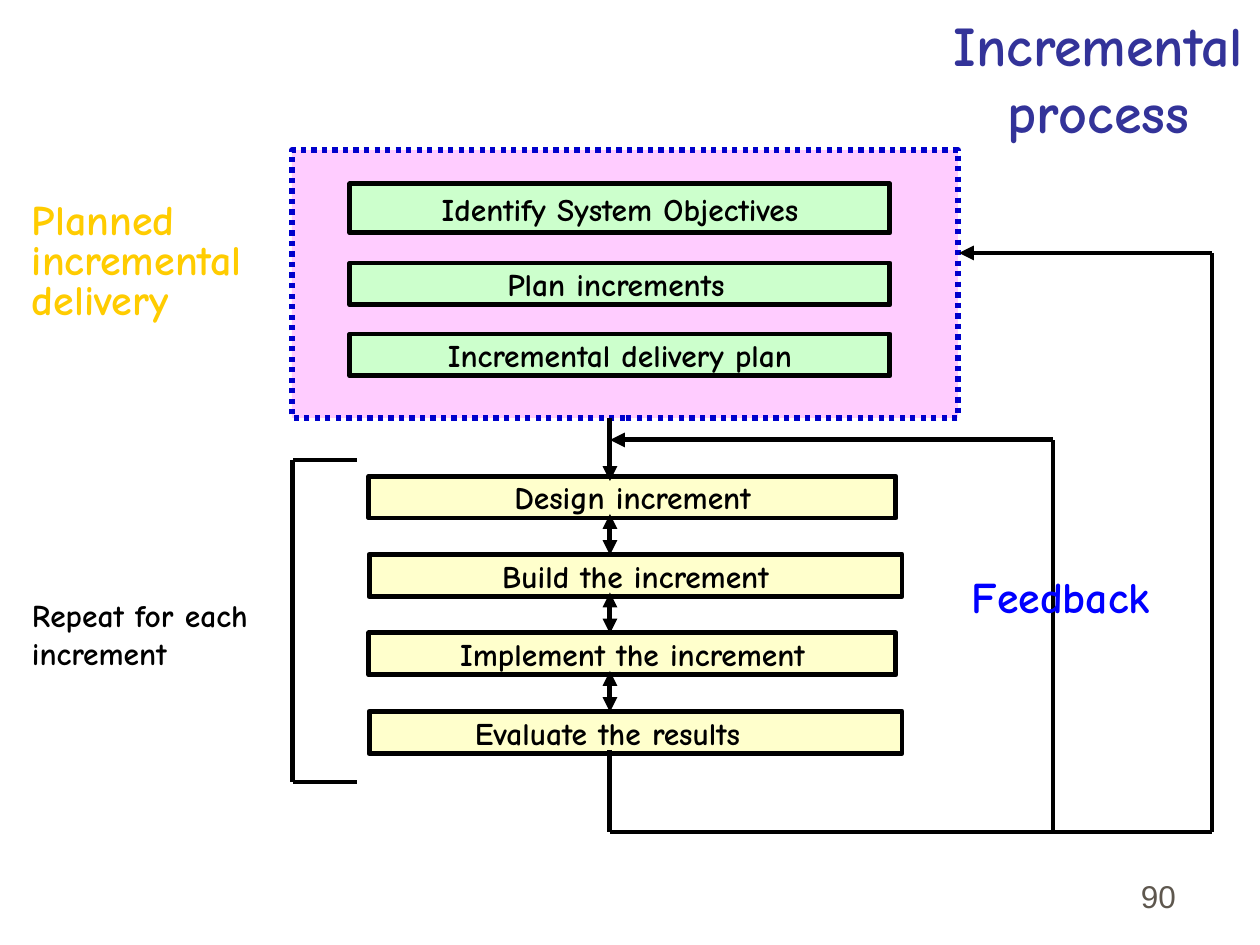
from itertools import pairwise
from pptx import Presentation
from pptx.dml.color import RGBColor
from pptx.enum.dml import MSO_LINE
from pptx.enum.shapes import MSO_CONNECTOR, MSO_SHAPE
from pptx.enum.text import MSO_ANCHOR, MSO_AUTO_SIZE, PP_ALIGN
from pptx.oxml.ns import qn
from pptx.util import Emu, Pt
from lxml.etree import SubElement

PX = 914400 / 126
COLORS = {
    "title": "333399", "panel": "FFCCFF", "border": "0000CC",
    "plan": "CCFFCC", "step": "FFFFCC", "ink": "000000",
    "feedback": "0000FF", "heading": "FFCC00", "number": "5E574E",
}
LINE_WIDTH = 2.83
AXIS = 610
PLAN_BOXES = [
    ("Identify System Objectives", 184, 49, 15),
    ("Plan increments", 263, 42, 23),
    ("Incremental delivery plan", 334, 42, 15),
]
STEPS = [
    ("Design increment", 527, 15),
    ("Build the increment", 533, 15),
    ("Implement the increment", 527, 15),
    ("Evaluate the results", 533, 71),
]
STEP_TOP, STEP_PITCH, STEP_HEIGHT = 476, 78.5, 42


def px(n):
    return Emu(round(n * PX))


def color(name):
    return RGBColor.from_string(COLORS[name])


def write(shape, lines, size, ink, margins, align=PP_ALIGN.LEFT,
          anchor=MSO_ANCHOR.TOP, font="Comic Neue", bold=True, spacing=None):
    tf = shape.text_frame
    left, top, right, bottom = map(px, margins)
    frame = {"word_wrap": True, "auto_size": MSO_AUTO_SIZE.NONE,
             "vertical_anchor": anchor, "margin_left": left, "margin_top": top,
             "margin_right": right, "margin_bottom": bottom}
    for key, value in frame.items():
        setattr(tf, key, value)
    tf.text = "\n".join(lines)
    for p in tf.paragraphs:
        p.alignment = align
        p.line_spacing = spacing
        for key, value in {"name": font, "size": Pt(size), "bold": bold}.items():
            setattr(p.runs[0].font, key, value)
        p.runs[0].font.color.rgb = color(ink)


def add_label(s, box, lines, size, ink, margins=(18, 11, 18, 11), **format):
    tb = s.shapes.add_textbox(*map(px, box))
    write(tb, lines, size, ink, margins, **format)


def add_rect(s, box, fill, border="ink", width=LINE_WIDTH):
    sp = s.shapes.add_shape(MSO_SHAPE.RECTANGLE, *map(px, box))
    sp.shadow.inherit = False
    sp.fill.solid()
    sp.fill.fore_color.rgb = color(fill)
    sp.line.color.rgb = color(border)
    sp.line.width = Pt(width)
    return sp


def add_box(s, box, fill, text, right):
    write(add_rect(s, box, fill), [text], 18, "ink", (15, 9, right, 9),
          align=PP_ALIGN.CENTER, anchor=MSO_ANCHOR.MIDDLE)


def add_line(s, start, end, *arrows):
    cx = s.shapes.add_connector(MSO_CONNECTOR.STRAIGHT, *map(px, start + end))
    cx.line.color.rgb = color("ink")
    cx.line.width = Pt(LINE_WIDTH)
    ln = cx.line._get_or_add_ln()
    for arrow in arrows:
        SubElement(ln, qn(f"a:{arrow}"), type="triangle")
    SubElement(cx._element.spPr, qn("a:effectLst"))


def add_route(s, points, arrow=False):
    pairs = list(pairwise(points))
    for i, (start, end) in enumerate(pairs):
        ends = ["tailEnd"] if arrow and i == len(pairs) - 1 else []
        add_line(s, start, end, *ends)


def add_title(s):
    title = s.shapes.title
    box = {"left": 903, "top": 4, "width": 391, "height": 99}
    for key, value in box.items():
        setattr(title, key, px(value))
    write(title, ["Incremental process"], 32, "title", (13, 6, 13, 6),
          align=PP_ALIGN.CENTER)


def add_planning(s):
    panel = add_rect(s, (292, 150, 666, 268), "panel", "border", 3)
    panel.line.dash_style = MSO_LINE.ROUND_DOT
    for text, top, height, right in PLAN_BOXES:
        add_box(s, (350, top, 540, height), "plan", text, right)


def add_steps(s):
    for i, (text, width, right) in enumerate(STEPS):
        top = STEP_TOP + i * STEP_PITCH
        add_box(s, (369, top, width, STEP_HEIGHT), "step", text, right)
    for i in range(len(STEPS) - 1):
        top = 514 + i * STEP_PITCH
        add_line(s, (AXIS, top), (AXIS, top + 41), "headEnd", "tailEnd")


def add_routes(s):
    add_route(s, [(AXIS, 418), (AXIS, 481)], arrow=True)
    add_route(s, [(357, 460), (293, 460), (293, 782), (357, 782)])
    add_route(s, [(AXIS, 750), (AXIS, 832), (1212, 832), (1212, 253), (959, 253)],
              arrow=True)
    add_route(s, [(1053, 832), (1053, 440), (AXIS, 440)], arrow=True)


def main():
    prs = Presentation()
    prs.slide_width, prs.slide_height = px(1260), px(945)
    s = prs.slides.add_slide(prs.slide_layouts[5])
    add_title(s)
    add_planning(s)
    add_steps(s)
    add_routes(s)
    add_label(s, (954, 559, 241, 50), ["Feedback"], 25, "feedback")
    add_label(s, (14, 585, 302, 113), ["Repeat for each increment"], 18, "ink")
    add_label(s, (14, 192, 336, 223), ["Planned", "incremental", "delivery"],
              24, "heading", spacing=0.8)
    add_label(s, (927, 858, 262, 63), ["90"], 18, "number", (13, 6, 13, 6),
              align=PP_ALIGN.RIGHT, anchor=MSO_ANCHOR.BOTTOM, font="Arial", bold=False)
    prs.save("out.pptx")


if __name__ == "__main__":
    main()
